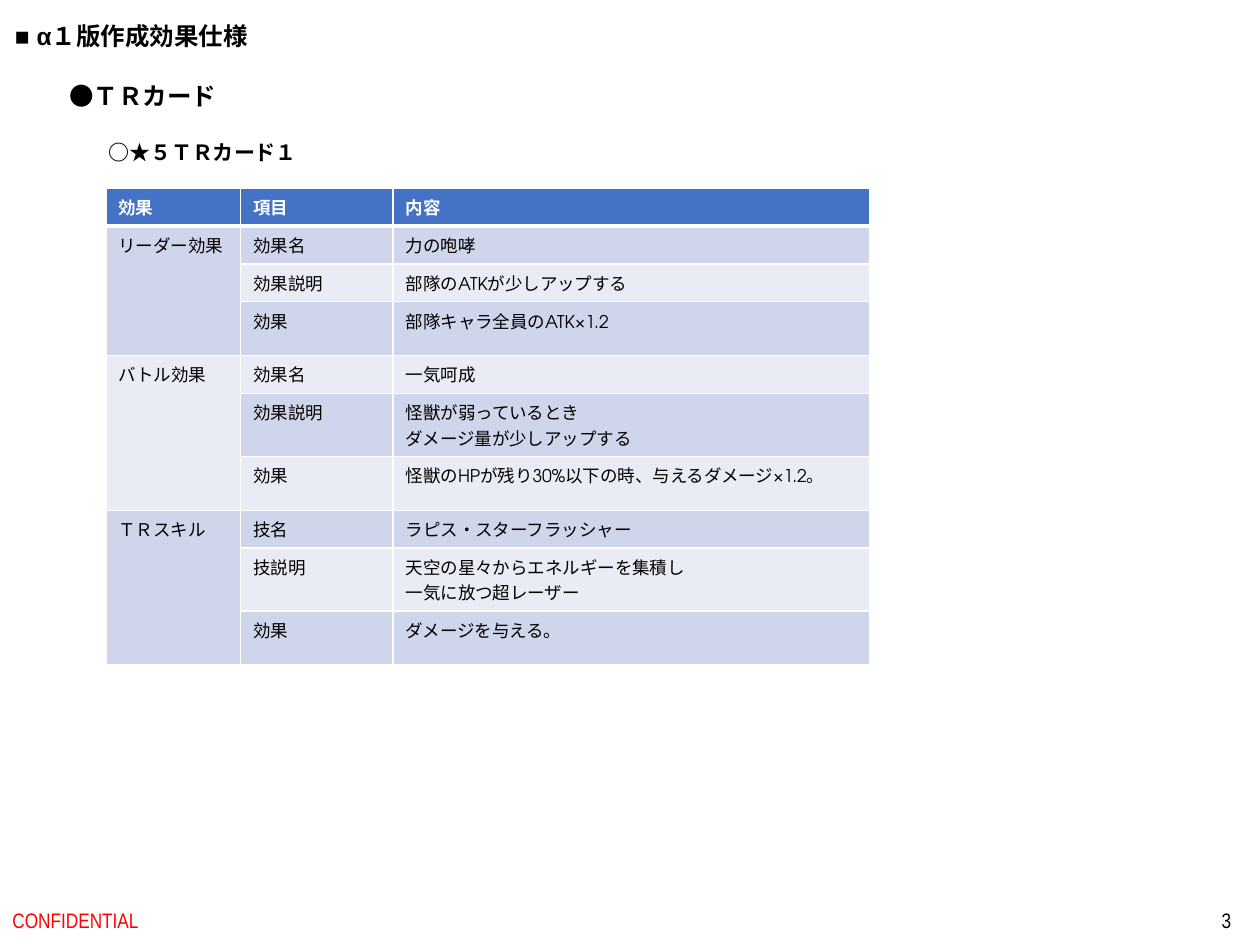
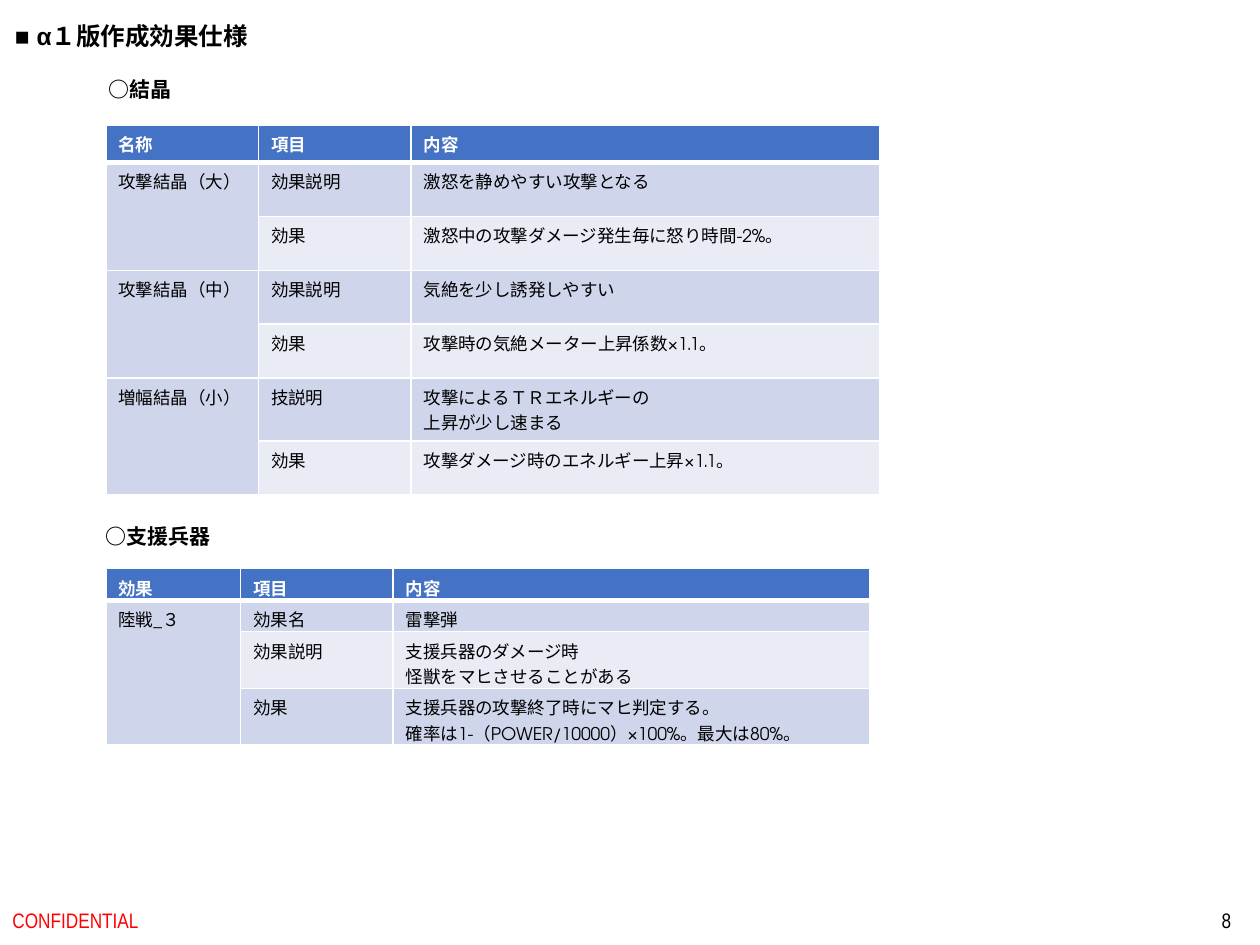
from dataclasses import dataclass

from lxml.etree import SubElement
from pptx import Presentation
from pptx.dml.color import RGBColor
from pptx.enum.text import MSO_ANCHOR as Anchor, MSO_AUTO_SIZE as AutoSize, PP_ALIGN as Align
from pptx.oxml.ns import qn
from pptx.slide import Slide
from pptx.table import _Cell as Cell
from pptx.util import Pt

BLACK = RGBColor(0x00, 0x00, 0x00)
WHITE = RGBColor(0xFF, 0xFF, 0xFF)
RED = RGBColor(0xFF, 0x00, 0x00)
HEADER_BLUE = RGBColor(0x44, 0x72, 0xC4)
BANDS = (RGBColor(0xE9, 0xEB, 0xF5), RGBColor(0xCF, 0xD5, 0xEA))

GOTHIC = "TeX Gyre Adventor"
TITLE = {"name": "Arial", "size": Pt(14), "bold": True}
SECTION = {"name": GOTHIC, "size": Pt(14), "bold": True}
SUBSECTION = {"name": GOTHIC, "size": Pt(12), "bold": True}
FOOTER = {"name": "Arial Narrow", "size": Pt(12), "bold": False}
HEADER_CELL = {"name": GOTHIC, "size": Pt(10), "bold": True}
BODY_CELL = {"name": GOTHIC, "size": Pt(10), "bold": False}

TABLE_LEFT = 60.5
SINGLE, SPACED, DOUBLE = 21.4, 30.8, 36
TIGHT_SINGLE, TIGHT_DOUBLE = 18, 32.4
CELL_MARGIN = 3.6
EFFECT_COLUMNS = (77, 87.2, 272.4)
CRYSTAL_COLUMNS = (87.2, 87.2, 267.6)


@dataclass(frozen=True)
class Label:
    text: str
    left: float
    top: float
    width: float
    height: float
    style: dict
    color: RGBColor = BLACK
    align: Align = Align.LEFT
    wrap: bool = False


@dataclass(frozen=True)
class Entry:
    item: str
    content: str
    height: float


@dataclass(frozen=True)
class Group:
    name: str
    entries: tuple[Entry, ...]


@dataclass(frozen=True)
class EffectTable:
    top: float
    columns: tuple[float, ...]
    first_heading: str
    header_height: float
    groups: tuple[Group, ...]
    bottom_margin: float = CELL_MARGIN


@dataclass(frozen=True)
class Page:
    number: int
    headings: tuple[Label, ...]
    tables: tuple[EffectTable, ...]


TR_CARD = EffectTable(107.5, EFFECT_COLUMNS, "効果", SINGLE, (
    Group("リーダー効果", (
        Entry("効果名", "力の咆哮", SINGLE),
        Entry("効果説明", "部隊のATKが少しアップする", SINGLE),
        Entry("効果", "部隊キャラ全員のATK×1.2", SPACED),
    )),
    Group("バトル効果", (
        Entry("効果名", "一気呵成", SINGLE),
        Entry("効果説明", "怪獣が弱っているとき\nダメージ量が少しアップする", DOUBLE),
        Entry("効果", "怪獣のHPが残り30%以下の時、与えるダメージ×1.2。", SPACED),
    )),
    Group("ＴＲスキル", (
        Entry("技名", "ラピス・スターフラッシャー", SINGLE),
        Entry("技説明", "天空の星々からエネルギーを集積し\n一気に放つ超レーザー", DOUBLE),
        Entry("効果", "ダメージを与える。", SPACED),
    )),
))

CRYSTALS = EffectTable(71.5, CRYSTAL_COLUMNS, "名称", SINGLE, (
    Group("攻撃結晶（大）", (
        Entry("効果説明", "激怒を静めやすい攻撃となる", SPACED),
        Entry("効果", "激怒中の攻撃ダメージ発生毎に怒り時間-2%。", SPACED),
    )),
    Group("攻撃結晶（中）", (
        Entry("効果説明", "気絶を少し誘発しやすい", SPACED),
        Entry("効果", "攻撃時の気絶メーター上昇係数×1.1。", SPACED),
    )),
    Group("増幅結晶（小）", (
        Entry("技説明", "攻撃によるＴＲエネルギーの\n上昇が少し速まる", DOUBLE),
        Entry("効果", "攻撃ダメージ時のエネルギー上昇×1.1。", SPACED),
    )),
))

SUPPORT_WEAPON = EffectTable(325, EFFECT_COLUMNS, "効果", TIGHT_SINGLE, (
    Group("陸戦_３", (
        Entry("効果名", "雷撃弾", TIGHT_SINGLE),
        Entry("効果説明", "支援兵器のダメージ時\n怪獣をマヒさせることがある", TIGHT_DOUBLE),
        Entry("効果", "支援兵器の攻撃終了時にマヒ判定する。\n"
              "確率は1-（POWER/10000）×100%。最大は80%。", TIGHT_DOUBLE),
    )),
), bottom_margin=0)

PAGES = (
    Page(3, (
        Label("●ＴＲカード", 32.4, 42.5, 99.4, 24.5, SECTION),
        Label("○★５ＴＲカード１", 54.7, 76.3, 123.8, 21.6, SUBSECTION),
    ), (TR_CARD,)),
    Page(8, (
        Label("○結晶", 54.7, 40.3, 51.1, 21.6, SUBSECTION),
        Label("○支援兵器", 53.5, 295.9, 74.9, 21.6, SUBSECTION),
    ), (CRYSTALS, SUPPORT_WEAPON)),
)


def style_paragraphs(frame, style: dict, color: RGBColor) -> None:
    for para in frame.paragraphs:
        for span in para.runs:
            for attribute, value in style.items():
                setattr(span.font, attribute, value)
            span.font.color.rgb = color


def draw_label(slide: Slide, label: Label) -> None:
    box = slide.shapes.add_textbox(
        Pt(label.left), Pt(label.top), Pt(label.width), Pt(label.height))
    frame = box.text_frame
    frame.text = label.text
    frame.word_wrap = label.wrap
    frame.auto_size = AutoSize.NONE if label.wrap else AutoSize.SHAPE_TO_FIT_TEXT
    frame.vertical_anchor = Anchor.MIDDLE if label.wrap else Anchor.TOP
    frame.paragraphs[0].alignment = label.align
    style_paragraphs(frame, label.style, label.color)


def draw_borders(cell: Cell, row: int) -> None:
    """Rule the cell in white, with a thick line under the header row."""
    widths = {"a:lnL": 1, "a:lnR": 1,
              "a:lnT": 3 if row == 1 else 1, "a:lnB": 3 if row == 0 else 1}
    properties = cell._tc.get_or_add_tcPr()
    for tag, width in widths.items():
        line = SubElement(properties, qn(tag), w=str(Pt(width)))
        fill = SubElement(line, qn("a:solidFill"))
        SubElement(fill, qn("a:srgbClr"), val=str(WHITE))


def draw_cell(cell: Cell, text: str, row: int, bottom_margin: float) -> None:
    is_header = row == 0
    cell.text = text
    cell.margin_top = Pt(CELL_MARGIN)
    cell.margin_bottom = Pt(bottom_margin)
    draw_borders(cell, row)
    cell.fill.solid()
    cell.fill.fore_color.rgb = HEADER_BLUE if is_header else BANDS[row % 2]
    style_paragraphs(cell.text_frame, HEADER_CELL if is_header else BODY_CELL,
                     WHITE if is_header else BLACK)


def draw_table(slide: Slide, effects: EffectTable) -> None:
    rows = [(effects.first_heading, "項目", "内容")]
    heights = [effects.header_height]
    merges = []
    for group in effects.groups:
        merges.append((len(rows), len(rows) + len(group.entries) - 1))
        for index, entry in enumerate(group.entries):
            rows.append((group.name if index == 0 else "", entry.item, entry.content))
            heights.append(entry.height)

    table = slide.shapes.add_table(
        len(rows), len(effects.columns), Pt(TABLE_LEFT), Pt(effects.top),
        Pt(sum(effects.columns)), Pt(sum(heights))).table
    for column, width in zip(table.columns, effects.columns):
        column.width = Pt(width)
    for row, (texts, height) in enumerate(zip(rows, heights)):
        table.rows[row].height = Pt(height)
        for column, text in enumerate(texts):
            draw_cell(table.cell(row, column), text, row, effects.bottom_margin)
    for first, last in merges:
        table.cell(first, 0).merge(table.cell(last, 0))


def draw_page(deck, page: Page) -> None:
    slide = deck.slides.add_slide(deck.slide_layouts[6])
    shared = (
        Label("■ α１版作成効果仕様", 1.5, 8.6, 156.2, 24.5, TITLE),
        Label("CONFIDENTIAL", 0, 511.2, 243.4, 28.8, FOOTER, RED, wrap=True),
        Label(str(page.number), 548.6, 511.2, 162, 28.8, FOOTER,
              align=Align.RIGHT, wrap=True),
    )
    for effects in page.tables:
        draw_table(slide, effects)
    for label in shared + page.headings:
        draw_label(slide, label)


def main() -> None:
    deck = Presentation()
    deck.slide_width, deck.slide_height = Pt(720), Pt(540)
    for page in PAGES:
        draw_page(deck, page)
    deck.save("out.pptx")


if __name__ == "__main__":
    main()
